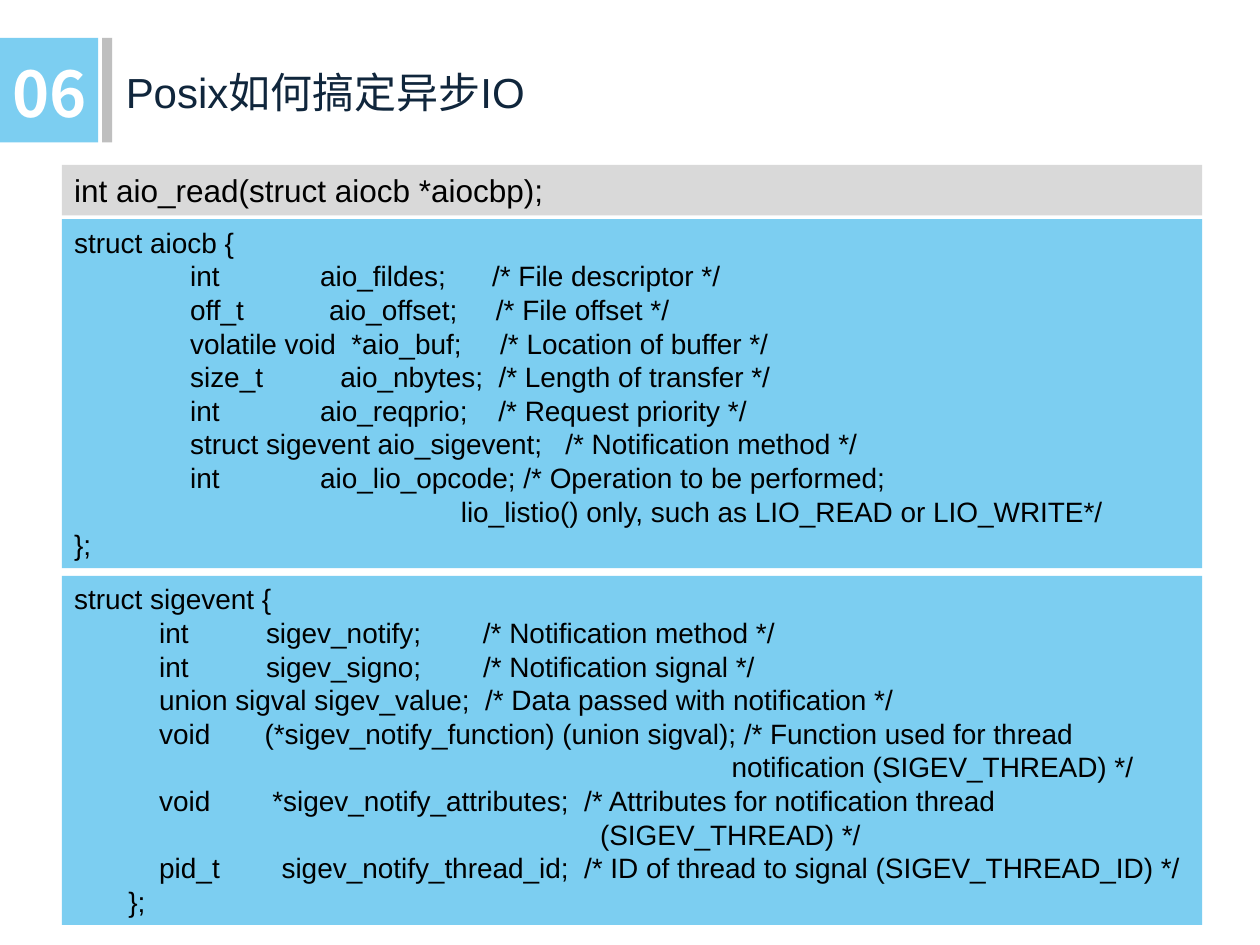
from pptx import Presentation
from pptx.dml.color import RGBColor
from pptx.enum.shapes import MSO_SHAPE as Shape
from pptx.enum.text import MSO_ANCHOR as Anchor, PP_ALIGN as Align
from pptx.util import Inches, Pt

SKY, SILVER, PALE = "7CCEF1", "BFBFBF", "D9D9D9"
WHITE, NAVY, BLACK = "FFFFFF", "10263C", "000000"

READ_CALL = "int aio_read(struct aiocb *aiocbp);"

AIOCB = """\
struct aiocb {
               int             aio_fildes;      /* File descriptor */
               off_t           aio_offset;     /* File offset */
               volatile void  *aio_buf;     /* Location of buffer */
               size_t          aio_nbytes;  /* Length of transfer */
               int             aio_reqprio;    /* Request priority */
               struct sigevent aio_sigevent;   /* Notification method */
               int             aio_lio_opcode; /* Operation to be performed;
                                                  lio_listio() only, such as LIO_READ or LIO_WRITE*/
};"""

SIGEVENT = """\
struct sigevent {
           int          sigev_notify;        /* Notification method */
           int          sigev_signo;        /* Notification signal */
           union sigval sigev_value;  /* Data passed with notification */
           void       (*sigev_notify_function) (union sigval); /* Function used for thread
                                                                                     notification (SIGEV_THREAD) */
           void        *sigev_notify_attributes;  /* Attributes for notification thread
                                                                    (SIGEV_THREAD) */
           pid_t        sigev_notify_thread_id;  /* ID of thread to signal (SIGEV_THREAD_ID) */
       };"""


def color(value):
    return RGBColor.from_string(value)


def write(box, text, size, font, ink, anchor):
    """Fill a box with one left-aligned paragraph per line of text."""
    frame = box.text_frame
    frame.word_wrap = True
    frame.vertical_anchor = anchor
    frame.text = text
    for para in frame.paragraphs:
        para.alignment = Align.LEFT
        para.font.size = Pt(size)
        para.font.name = font
        para.font.color.rgb = color(ink)


deck = Presentation()
deck.slide_width, deck.slide_height = Inches(10), Inches(7.5)
page = deck.slides.add_slide(deck.slide_layouts[6])

# Panels: left, top, width, height, fill, code, text size
panels = [
    (0, 0.3, 0.78, 0.83, SKY, None, None),
    (0.81, 0.3, 0.08, 0.83, SILVER, None, None),
    (0.49, 1.31, 9.05, 0.4, PALE, READ_CALL, 18),
    (0.49, 1.74, 9.05, 2.77, SKY, AIOCB, 16),
    (0.49, 4.57, 9.05, 2.77, SKY, SIGEVENT, 16),
]
for left, top, width, height, fill, code, size in panels:
    panel = page.shapes.add_shape(
        Shape.RECTANGLE, Inches(left), Inches(top), Inches(width), Inches(height))
    panel.shadow.inherit = False
    panel.fill.solid()
    panel.fill.fore_color.rgb = color(fill)
    panel.line.fill.background()
    if code:
        write(panel, code, size, "Arial", BLACK, Anchor.TOP)

number = page.shapes.add_textbox(Inches(0), Inches(0.38), Inches(0.89), Inches(0.7))
write(number, "06", 36, "Noto Sans CJK SC", WHITE, Anchor.MIDDLE)
number.text_frame.paragraphs[0].font.bold = True

title = page.shapes.add_textbox(Inches(0.9), Inches(0.48), Inches(8.64), Inches(0.5))
write(title, "Posix如何搞定异步IO", 24, "Arial", NAVY, Anchor.MIDDLE)

deck.save("out.pptx")
